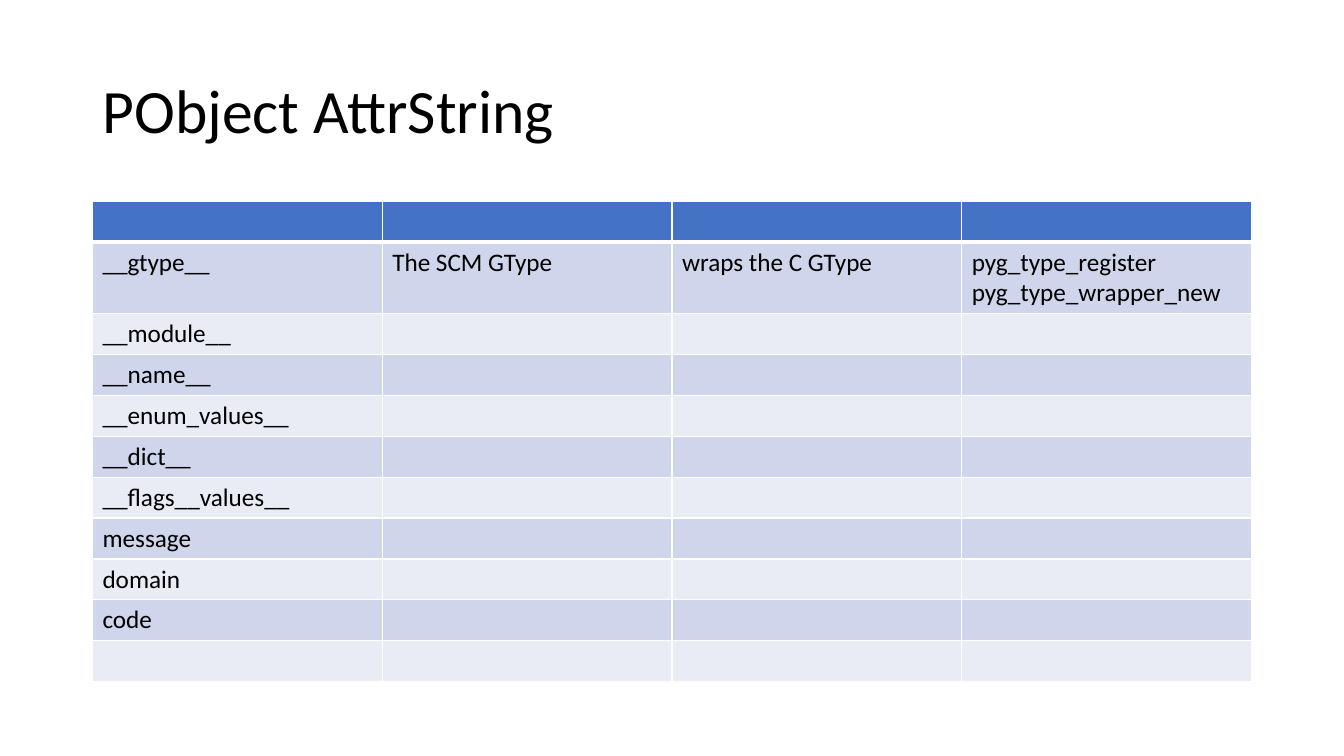
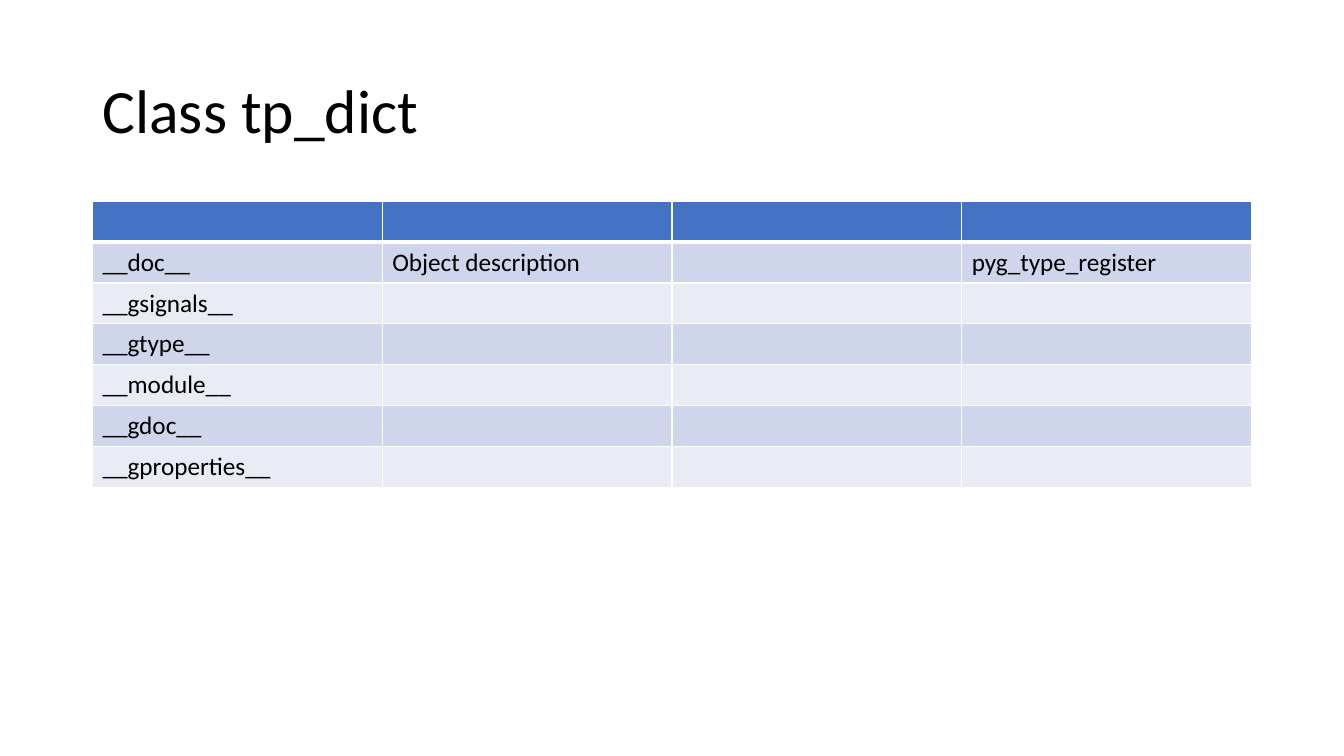
"""Build two slides that list attribute names in banded tables."""
from pptx import Presentation
from pptx.dml.color import RGBColor
from pptx.enum.text import MSO_ANCHOR, MSO_AUTO_SIZE, PP_ALIGN
from pptx.util import Cm, Pt
from lxml.etree import SubElement
from pptx.oxml.ns import qn

FONT = "Calibri"
INK, RULE, HEADER = "000000", "FFFFFF", "4472C4"
BANDS = ["E9EBF5", "CFD5EA"]
LEFT, WIDTH, ROW_HEIGHT = Cm(2.33), Cm(29.21), Cm(1.03)
COLUMNS = 4


def add_text(paragraph, text, size):
    run = paragraph.add_run()
    run.text = text
    run.font.name = FONT
    run.font.size = Pt(size)
    run.font.bold = False
    run.font.color.rgb = RGBColor.from_string(INK)


def style_cell(cell, fill, bottom_width):
    properties = cell._tc.get_or_add_tcPr()
    for side, width in (("L", 1), ("R", 1), ("T", 1), ("B", bottom_width)):
        border = SubElement(properties, qn(f"a:ln{side}"), w=str(Pt(width)))
        SubElement(SubElement(border, qn("a:solidFill")), qn("a:srgbClr"), val=RULE)
    cell.fill.solid()
    cell.fill.fore_color.rgb = RGBColor.from_string(fill)


topics = [
    ("PObject AttrString", [
        [],
        ["__gtype__", "The SCM GType", "wraps the C GType",
         "pyg_type_register\npyg_type_wrapper_new"],
        ["__module__"],
        ["__name__"],
        ["__enum_values__"],
        ["__dict__"],
        ["__flags__values__"],
        ["message"],
        ["domain"],
        ["code"],
        [],
    ]),
    ("Class tp_dict", [
        [],
        ["__doc__", "Object description", "", "pyg_type_register"],
        ["__gsignals__"],
        ["__gtype__"],
        ["__module__"],
        ["__gdoc__"],
        ["__gproperties__"],
    ]),
]

deck = Presentation()
deck.slide_width, deck.slide_height = Cm(33.87), Cm(19.05)

for heading, attributes in topics:
    slide = deck.slides.add_slide(deck.slide_layouts[5])
    title = slide.shapes.title
    title.left, title.top, title.width, title.height = LEFT, Cm(1.01), WIDTH, Cm(3.68)
    title.text_frame.auto_size = MSO_AUTO_SIZE.NONE
    title.text_frame.vertical_anchor = MSO_ANCHOR.MIDDLE
    title_line = title.text_frame.paragraphs[0]
    title_line.alignment = PP_ALIGN.LEFT
    title_line.line_spacing = 0.9
    add_text(title_line, heading, 44)

    table = slide.shapes.add_table(
        len(attributes), COLUMNS, LEFT, Cm(5.07), WIDTH, ROW_HEIGHT * len(attributes)
    ).table
    for row, entries in enumerate(attributes):
        for column in range(COLUMNS):
            cell = table.cell(row, column)
            style_cell(cell, BANDS[row % 2] if row else HEADER, 1 if row else 3)
            if column < len(entries) and entries[column]:
                frame = cell.text_frame
                for number, line in enumerate(entries[column].split("\n")):
                    paragraph = frame.add_paragraph() if number else frame.paragraphs[0]
                    add_text(paragraph, line, 18)

deck.save("out.pptx")
